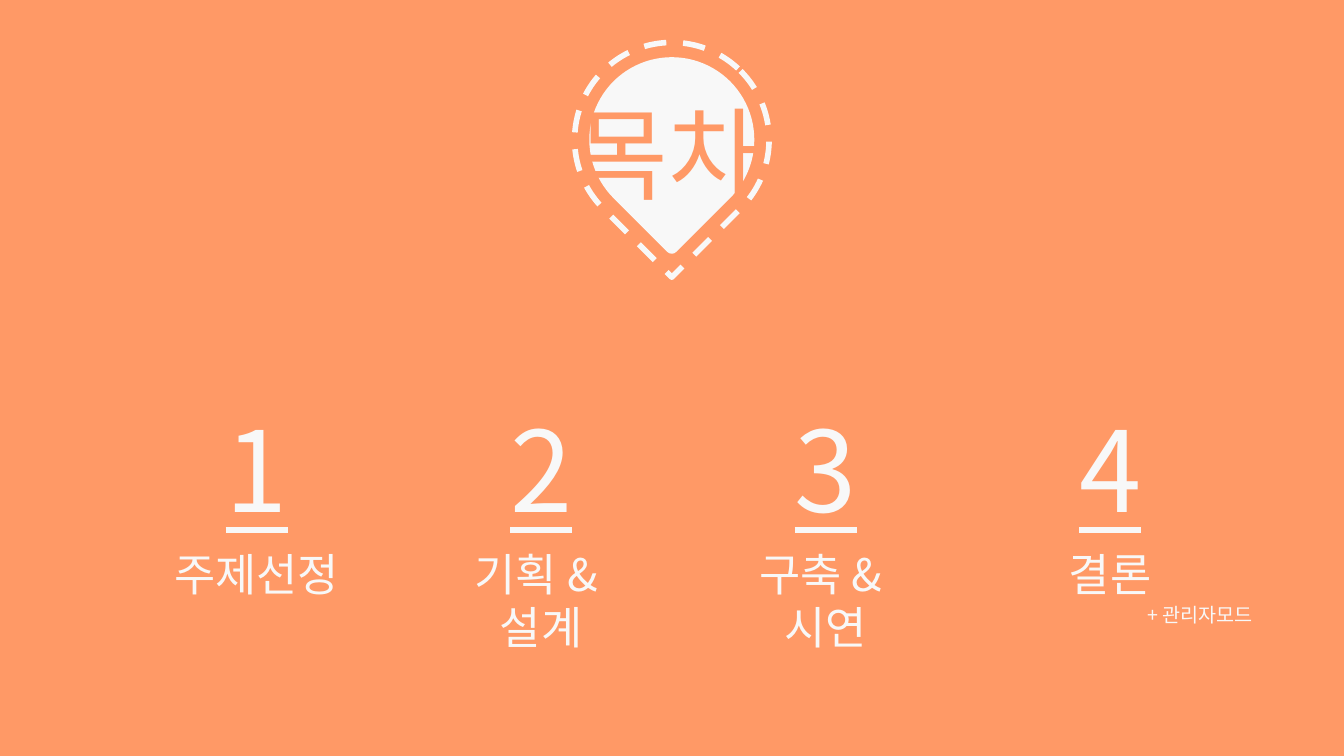
from lxml.etree import SubElement
from pptx import Presentation
from pptx.dml.color import RGBColor
from pptx.enum.dml import MSO_LINE
from pptx.enum.shapes import MSO_SHAPE
from pptx.enum.text import MSO_AUTO_SIZE, PP_ALIGN
from pptx.oxml.ns import qn
from pptx.util import Cm, Pt

COLOURS = {"orange": "FF9966", "white": "F8F8F8"}
FONT = "Noto Sans CJK KR"
CHAPTERS = [
    ("주제선정", 5.08),
    ("기획 & \v설계", 5.79),
    ("구축 & \v시연", 5.79),
    ("결론", 2.79),
]
FIRST_CENTRE, CHAPTER_PITCH = 6.47, 7.17
PIN_CENTRE = (16.93, 3.52)


def rgb(name):
    return RGBColor.from_string(COLOURS[name])


def apply(target, formats):
    for attribute, value in formats.items():
        setattr(target, attribute, value)


def add_label(slide, wording, centre, top, width, height, size,
              colour="white", underline=None):
    label = slide.shapes.add_textbox(
        Cm(centre - width / 2), Cm(top), Cm(width), Cm(height))
    frame = label.text_frame
    frame.text = wording
    apply(frame, {"word_wrap": False,
                  "auto_size": MSO_AUTO_SIZE.SHAPE_TO_FIT_TEXT})
    paragraph = frame.paragraphs[0]
    paragraph.alignment = PP_ALIGN.CENTER
    for run in paragraph.runs:
        apply(run.font, {"name": FONT, "size": Pt(size),
                         "underline": underline})
        run.font.color.rgb = rgb(colour)
        SubElement(run.font._element, qn("a:ea"), typeface=FONT)


def add_pin(slide, side, line_format, filled):
    x, y = PIN_CENTRE
    pin = slide.shapes.add_shape(
        MSO_SHAPE.TEAR, Cm(x - side / 2), Cm(y - side / 2),
        Cm(side), Cm(side))
    pin.rotation = 135
    pin.shadow.inherit = False
    if filled:
        pin.fill.solid()
        pin.fill.fore_color.rgb = rgb("white")
    else:
        pin.fill.background()
    pin.line.color.rgb = rgb("white")
    apply(pin.line, line_format)


def add_chapter(slide, index, title, title_width):
    centre = FIRST_CENTRE + index * CHAPTER_PITCH
    add_label(slide, str(index + 1), centre, 9.98, 2.11, 3.68, 80,
              underline=True)
    add_label(slide, title, centre, 13.64, title_width, 1.63, 32)


def main():
    deck = Presentation()
    apply(deck, {"slide_width": Cm(33.87), "slide_height": Cm(19.05)})
    slide = deck.slides.add_slide(deck.slide_layouts[6])
    slide.background.fill.solid()
    slide.background.fill.fore_color.rgb = rgb("orange")

    add_pin(slide, 3.84, {"width": Pt(9)}, filled=True)
    add_label(slide, "목차", 16.84, 2.18, 5.23, 3.33, 72, colour="orange")
    add_pin(slide, 4.9, {"width": Pt(4), "dash_style": MSO_LINE.DASH},
            filled=False)
    for index, (title, title_width) in enumerate(CHAPTERS):
        add_chapter(slide, index, title, title_width)
    add_label(slide, "+ 관리자모드", 30.25, 15.06, 3.35, 0.86, 14)

    deck.save("out.pptx")


if __name__ == "__main__":
    main()
